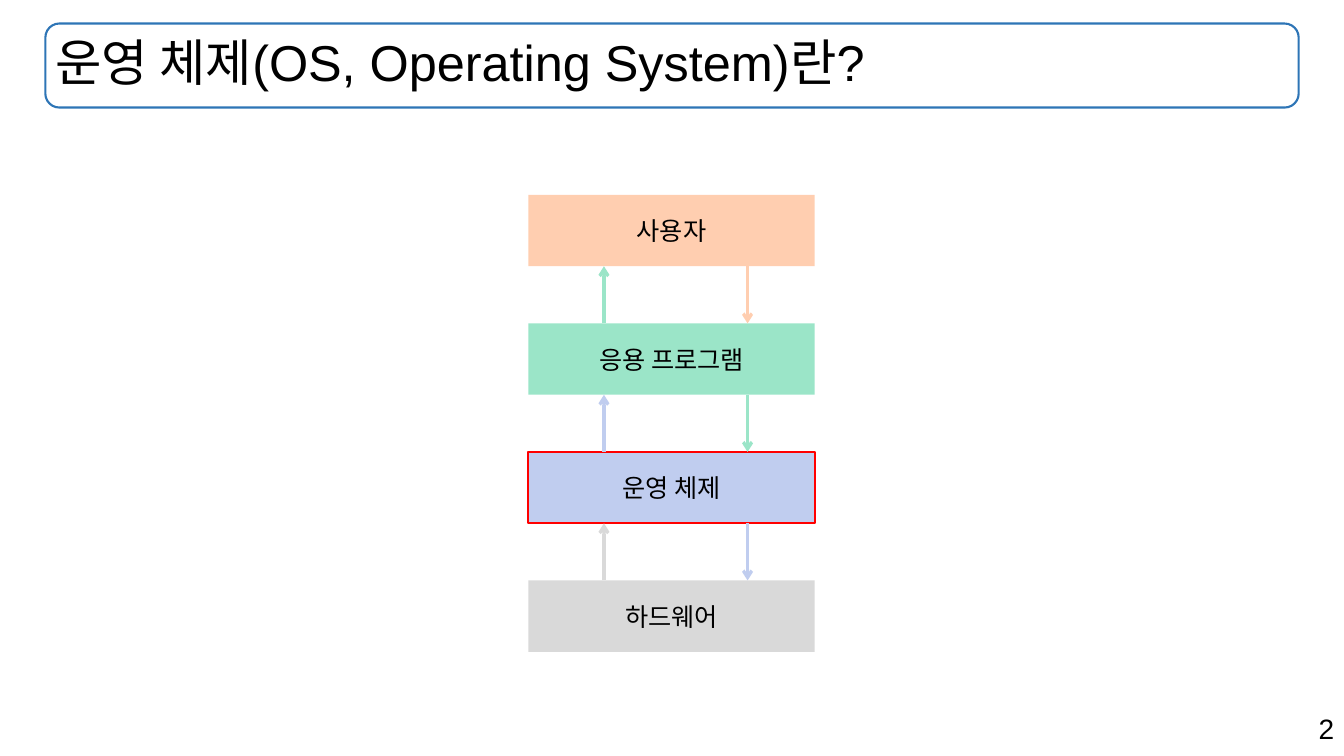
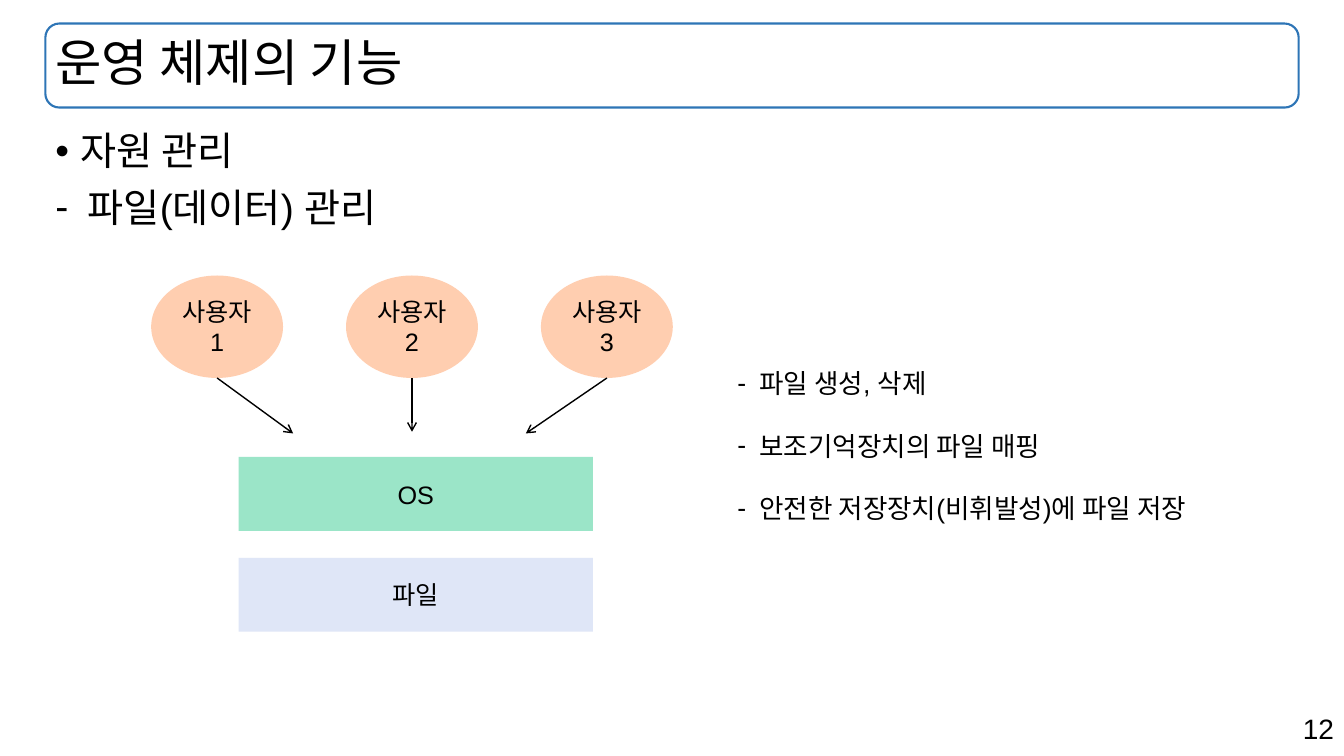
from lxml.etree import SubElement
from pptx import Presentation
from pptx.dml.color import RGBColor
from pptx.enum.shapes import MSO_CONNECTOR, MSO_SHAPE as SHAPE
from pptx.enum.text import MSO_ANCHOR as ANCHOR, PP_ALIGN as ALIGN
from pptx.oxml.ns import qn
from pptx.util import Inches, Pt

COLORS = {
    "text": "000000", "frame": "2E75B6", "alert": "FF0000",
    "peach": "FFCEB0", "mint": "9BE5C8", "blue": "C0CDEF",
    "pale": "DFE6F7", "gray": "D9D9D9",
}
COLS, ROWS = 160, 90
TITLE_ONLY, TITLE_BODY = 5, 1


class Deck:
    font = "Arial"
    frame = (5.4, 2.8, 149.2, 10)
    body = (5.4, 15.1, 149.2, 66.4)
    number = (113.2, 84.1, 46.8, 5.3)

    def __init__(self):
        self.prs = Presentation()
        self.prs.slide_width = Inches(13.33)
        self.prs.slide_height = Inches(7.5)
        self.s = None

    def x(self, cols):
        return int(self.prs.slide_width * cols / COLS)

    def y(self, rows):
        return int(self.prs.slide_height * rows / ROWS)

    def area(self, box):
        left, top, width, height = box
        return self.x(left), self.y(top), self.x(width), self.y(height)

    def color(self, name):
        return RGBColor.from_string(COLORS[name])

    def style(self, p, size, align=ALIGN.LEFT):
        p.alignment = align
        for r in p.runs:
            r.font.size = Pt(size)
            r.font.name = self.font
            r.font.color.rgb = self.color("text")

    def slide(self, title, number, layout=TITLE_ONLY):
        self.s = self.prs.slides.add_slide(self.prs.slide_layouts[layout])
        self.shape(SHAPE.ROUNDED_RECTANGLE, self.frame, line="frame")
        sp = self.s.shapes.title
        sp.left, sp.top, sp.width, sp.height = self.area(self.frame)
        tf = sp.text_frame
        tf.text = title
        tf.vertical_anchor = ANCHOR.MIDDLE
        tf.paragraphs[0].line_spacing = 0.9
        self.style(tf.paragraphs[0], 36)
        self.text(self.number, str(number), 20, ALIGN.RIGHT)

    def shape(self, kind, box, fill=None, line=None, text=""):
        sp = self.s.shapes.add_shape(kind, *self.area(box))
        sp.shadow.inherit = False
        if fill:
            sp.fill.solid()
            sp.fill.fore_color.rgb = self.color(fill)
        else:
            sp.fill.background()
        if line:
            sp.line.color.rgb = self.color(line)
            sp.line.width = Pt(1.5)
        else:
            sp.line.fill.background()
        if text:
            tf = sp.text_frame
            tf.text = text
            tf.vertical_anchor = ANCHOR.MIDDLE
            self.style(tf.paragraphs[0], 18, ALIGN.CENTER)

    def arrow(self, start, end, color, width):
        (x1, y1), (x2, y2) = start, end
        c = self.s.shapes.add_connector(
            MSO_CONNECTOR.STRAIGHT, self.x(x1), self.y(y1), self.x(x2), self.y(y2))
        c.line.color.rgb = self.color(color)
        c.line.width = Pt(width)
        pr = c.element.spPr
        SubElement(pr.get_or_add_ln(), qn("a:tailEnd"), type="arrow")
        SubElement(pr, qn("a:effectLst"))

    def text(self, box, text, size, align=ALIGN.LEFT):
        tf = self.s.shapes.add_textbox(*self.area(box)).text_frame
        tf.word_wrap = True
        tf.text = text
        self.style(tf.paragraphs[0], size, align)

    def items(self, tf, items, size, gap, spacing):
        tf.word_wrap = True
        tf.text = "\n".join(text for _, text, _ in items)
        for i, (p, (mark, _, indent)) in enumerate(zip(tf.paragraphs, items)):
            p.line_spacing = spacing
            p.space_before = Pt(gap if i else 0)
            pr = p._p.get_or_add_pPr()
            pr.set("marL", str(Inches(indent)))
            pr.set("indent", str(-Inches(indent)))
            SubElement(pr, qn("a:buFont"), typeface=self.font)
            SubElement(pr, qn("a:buChar"), char=mark)
            self.style(p, size)

    def body_list(self, items):
        sp = self.s.placeholders[1]
        sp.left, sp.top, sp.width, sp.height = self.area(self.body)
        self.items(sp.text_frame, items, 28, 10, 0.9)

    def side_list(self, box, items):
        tf = self.s.shapes.add_textbox(*self.area(box)).text_frame
        self.items(tf, items, 19, 22, 1.0)


def layers_slide(d):
    d.slide("운영 체제(OS, Operating System)란?", 2)
    layers = [("사용자", "peach", None), ("응용 프로그램", "mint", None),
              ("운영 체제", "blue", "alert"), ("하드웨어", "gray", None)]
    left, top, width, height, pitch = 62.9, 23.2, 34.1, 8.5, 15.3
    up, down = 71.9, 89
    for i, (name, fill, line) in enumerate(layers):
        d.shape(SHAPE.RECTANGLE, (left, top + i * pitch, width, height), fill, line, name)
    for i in range(len(layers) - 1):
        upper = top + i * pitch + height
        lower = top + (i + 1) * pitch
        d.arrow((down, upper), (down, lower), layers[i][1], 2.25)
        d.arrow((up, lower), (up, upper), layers[i + 1][1], 2.25)


def files_slide(d):
    d.slide("운영 체제의 기능", 12, TITLE_BODY)
    d.body_list([("•", "자원 관리", 0.25), ("-", "파일(데이터) 관리", 0.32)])
    d.side_list((86.6, 43.1, 62, 20.2), [
        ("-", text, 0.22) for text in
        ("파일 생성, 삭제", "보조기억장치의 파일 매핑", "안전한 저장장치(비휘발성)에 파일 저장")])
    for top, fill, name in ((54.4, "mint", "OS"), (66.4, "pale", "파일")):
        d.shape(SHAPE.RECTANGLE, (28.4, top, 42.2, 8.8), fill, text=name)
    left, top, width, height, pitch = 18, 32.8, 15.7, 12.2, 23.2
    targets = [(34.9, 51.6), (49.05, 51.4), (62.6, 51.6)]
    for i, target in enumerate(targets):
        x = left + i * pitch
        d.shape(SHAPE.OVAL, (x, top, width, height), "peach", text=f"사용자{i + 1}")
        d.arrow((x + width / 2, top + height), target, "text", 1)


def main():
    d = Deck()
    layers_slide(d)
    files_slide(d)
    d.prs.save("out.pptx")


if __name__ == "__main__":
    main()
